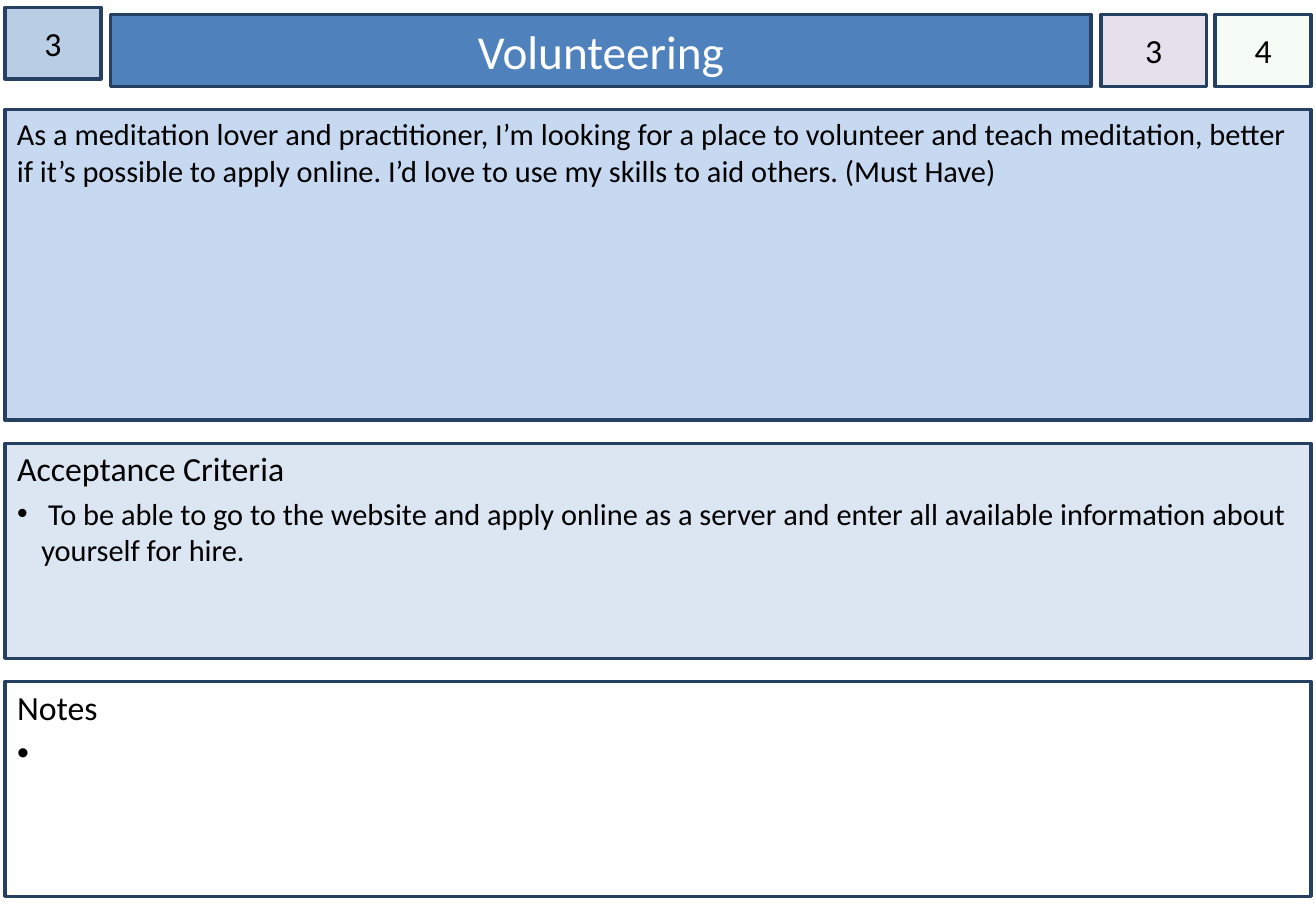
from lxml import etree
from pptx import Presentation
from pptx import util as u
from pptx.dml.color import RGBColor
from pptx.enum import shapes, text
from pptx.oxml import ns

COLORS = {
    "border": "254061", "ink": "000000", "white": "FFFFFF",
    "title": "4F81BD", "story": "C6D9F1", "criteria": "DCE6F2",
    "card": "B9CDE5", "estimate": "E6E0EC", "priority": "CCF0CD",
}
MARGIN, WIDE = 0.04, 10.75
HEADER_TOP, HEADER_HEIGHT = 0.12, 0.59
STORY = (
    "As a meditation lover and practitioner, I’m looking for a place to volunteer "
    "and teach meditation, better if it’s possible to apply online. "
    "I’d love to use my skills to aid others. (Must Have)"
)
CRITERION = (
    " To be able to go to the website and apply online as a server and enter "
    "all available information about yourself for hire."
)


def style_panel(panel, box, fill, anchor=text.MSO_ANCHOR.TOP, side=0.1, top=0.05):
    """Place a panel, colour it and set up its text frame."""
    panel.left, panel.top, panel.width, panel.height = map(u.Inches, box)
    panel.fill.solid()
    panel.fill.fore_color.rgb = RGBColor.from_string(COLORS[fill])
    panel.line.color.rgb = RGBColor.from_string(COLORS["border"])
    panel.line.width = u.Pt(2)
    frame = panel.text_frame
    frame.auto_size = text.MSO_AUTO_SIZE.NONE
    frame.word_wrap = True
    frame.vertical_anchor = anchor
    frame.margin_left = frame.margin_right = u.Inches(side)
    frame.margin_top, frame.margin_bottom = u.Inches(top), u.Inches(0.05)
    return frame


def write(paragraph, words, size, color="ink", align=text.PP_ALIGN.LEFT, before=0):
    paragraph.text = words
    paragraph.alignment = align
    paragraph.space_before = u.Pt(before)
    paragraph.font.name = "Calibri"
    paragraph.font.size = u.Pt(size)
    paragraph.font.color.rgb = RGBColor.from_string(COLORS[color])


def set_bullet(paragraph, indent, mark=None):
    """Give the paragraph a hanging bullet, or none."""
    props = paragraph._p.get_or_add_pPr()
    props.set("marL", str(u.Inches(indent)))
    props.set("indent", str(-u.Inches(indent)))
    bullet = etree.SubElement(props, ns.qn("a:buChar" if mark else "a:buNone"))
    if mark:
        bullet.set("char", mark)


def add_rectangle(slide, box, fill, **frame_options):
    panel = slide.shapes.add_shape(shapes.MSO_SHAPE.RECTANGLE, *map(u.Inches, box))
    panel.shadow.inherit = False
    style_panel(panel, box, fill, **frame_options)
    return panel


def add_number(slide, number, left, width, fill, top=HEADER_TOP):
    badge = add_rectangle(slide, (left, top, width, HEADER_HEIGHT), fill,
                          anchor=text.MSO_ANCHOR.MIDDLE, side=0)
    write(badge.text_frame.paragraphs[0], number, 20, align=text.PP_ALIGN.CENTER)
    return badge


def fill_list(placeholder, top, fill, heading, item, item_size):
    frame = style_panel(placeholder, (MARGIN, top, WIDE, 1.77), fill, top=0.04)
    write(frame.paragraphs[0], heading, 20)
    set_bullet(frame.paragraphs[0], 0)
    entry = frame.add_paragraph()
    write(entry, item, item_size, before=3.6)
    set_bullet(entry, 0.2, "•")


def main():
    deck = Presentation()
    deck.slide_width, deck.slide_height = u.Inches(10.83), u.Inches(7.5)
    slide = deck.slides.add_slide(deck.slide_layouts[3])
    title, criteria, notes = slide.placeholders

    # Header row
    add_number(slide, "3", MARGIN, 0.79, "card", top=0.06)
    title_frame = style_panel(title, (0.91, HEADER_TOP, 8.07, HEADER_HEIGHT),
                              "title", anchor=text.MSO_ANCHOR.MIDDLE)
    write(title_frame.paragraphs[0], "Volunteering", 28, "white", text.PP_ALIGN.CENTER)
    add_number(slide, "3", 9.06, 0.87, "estimate")
    priority = add_number(slide, "4", 10, 0.79, "priority")
    tint = priority._element.spPr.find(ns.qn("a:solidFill"))[0]
    etree.SubElement(tint, ns.qn("a:alpha")).set("val", "20000")

    # User story
    story = add_rectangle(slide, (MARGIN, 0.9, WIDE, 2.56), "story")
    write(story.text_frame.paragraphs[0], STORY, 18)

    # Acceptance criteria and notes
    fill_list(criteria, 3.65, "criteria", "Acceptance Criteria", CRITERION, 18)
    fill_list(notes, 5.61, "white", "Notes", " ", 20)

    deck.save("out.pptx")


if __name__ == "__main__":
    main()
